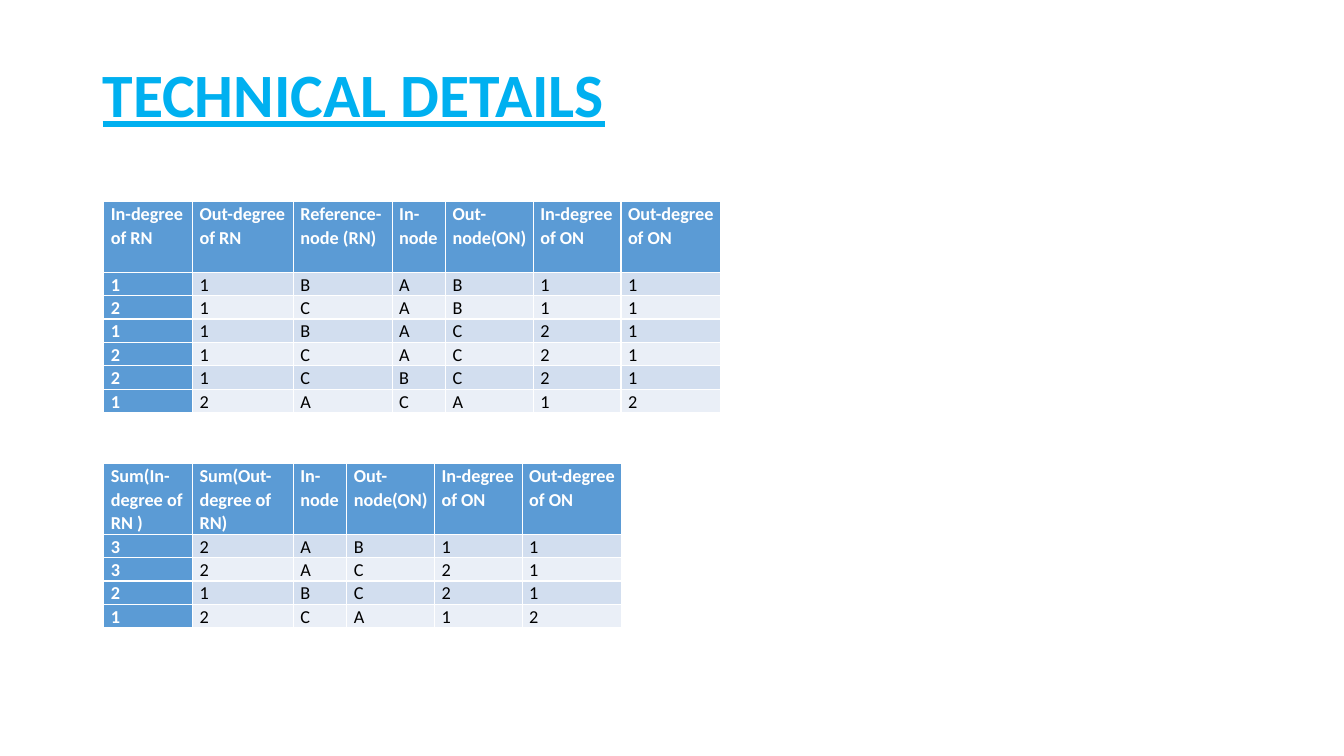
from pptx import Presentation
from pptx.dml.color import RGBColor
from pptx.enum.text import MSO_ANCHOR
from pptx.util import Pt

PX = 9144  # EMU per px, 100 px to the inch
MIDDLE = MSO_ANCHOR.MIDDLE
FONT = "Calibri"
COLORS = {
    "title": "00B0F0",
    "header": "5B9BD5",
    "header_text": "FFFFFF",
    "body_text": "000000",
    "odd_row": "D2DEEF",
    "even_row": "EAEFF7",
}
TABLE_LEFT = 103
HEADER_HEIGHT, ROW_HEIGHT = 70, 23
CELL_INSET = 7

# Each table: top, column widths, header, rows with one character per cell
TABLES = [
    (
        200,
        [88, 100, 98, 53, 87, 87, 99],
        ["In-degree of RN", "Out-degree of RN", "Reference-node (RN)", "In-node",
         "Out-node(ON)", "In-degree of ON", "Out-degree of ON"],
        ["11BAB11", "21CAB11", "11BAC21", "21CAC21", "21CBC21", "12ACA12"],
    ),
    (
        460,
        [88, 100, 53, 87, 87, 99],
        ["Sum(In-degree of RN )", "Sum(Out-degree of RN)", "In-node",
         "Out-node(ON)", "In-degree of ON", "Out-degree of ON"],
        ["32AB11", "32AC21", "21BC21", "12CA12"],
    ),
]


def style_font(font, size, color, bold):
    font.name = FONT
    font.size = Pt(size)
    font.bold = bold
    font.color.rgb = RGBColor.from_string(COLORS[color])


deck = Presentation()
deck.slide_width, deck.slide_height = 1333 * PX, 750 * PX
page = deck.slides.add_slide(deck.slide_layouts[6])

title_box = page.shapes.add_textbox(92 * PX, 40 * PX, 1150 * PX, 114 * PX)
title_frame = title_box.text_frame
title_frame.word_wrap = True
title_frame.vertical_anchor = MIDDLE
title_frame.text = "TECHNICAL DETAILS"
title_para = title_frame.paragraphs[0]
title_para.line_spacing = 0.9
title_font = title_para.runs[0].font
style_font(title_font, 44, "title", True)
title_font.underline = True

for top, widths, header, rows in TABLES:
    height = HEADER_HEIGHT + ROW_HEIGHT * len(rows)
    table = page.shapes.add_table(
        len(rows) + 1, len(widths),
        TABLE_LEFT * PX, top * PX, sum(widths) * PX, height * PX,
    ).table
    table.first_col = True
    for column, width in zip(table.columns, widths):
        column.width = width * PX

    for row_index, values in enumerate([header, *rows]):
        table.rows[row_index].height = (ROW_HEIGHT if row_index else HEADER_HEIGHT) * PX
        for column_index, value in enumerate(values):
            is_heading = row_index == 0 or column_index == 0
            band = "odd_row" if row_index % 2 else "even_row"
            cell = table.cell(row_index, column_index)
            cell.margin_left = cell.margin_right = CELL_INSET * PX
            cell.margin_top = cell.margin_bottom = 0
            cell.fill.solid()
            cell.fill.fore_color.rgb = RGBColor.from_string(
                COLORS["header" if is_heading else band])
            cell.text_frame.text = value
            para = cell.text_frame.paragraphs[0]
            para.line_spacing = 1.07
            text_color = "header_text" if is_heading else "body_text"
            style_font(para.runs[0].font, 13, text_color, is_heading)

deck.save("out.pptx")
